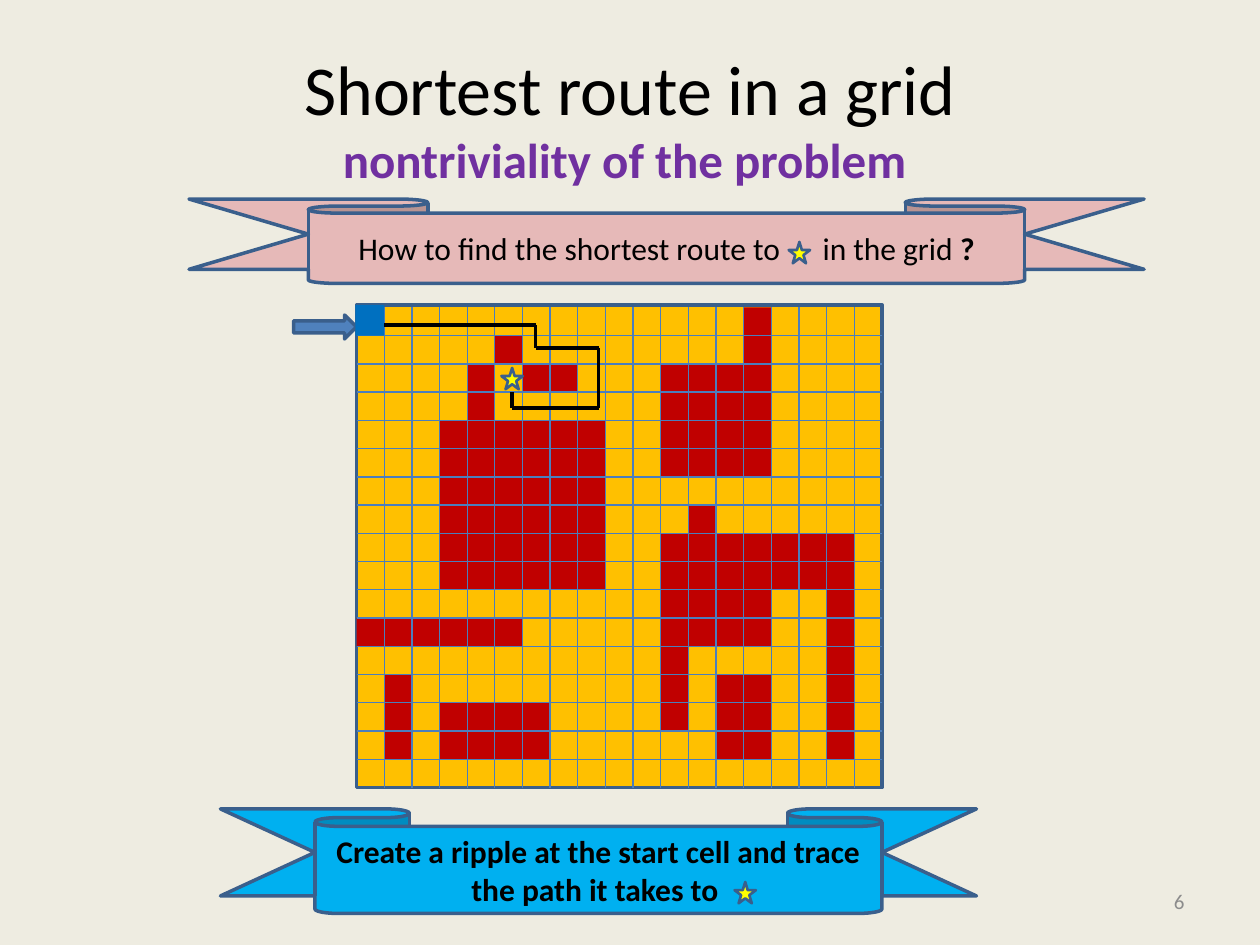
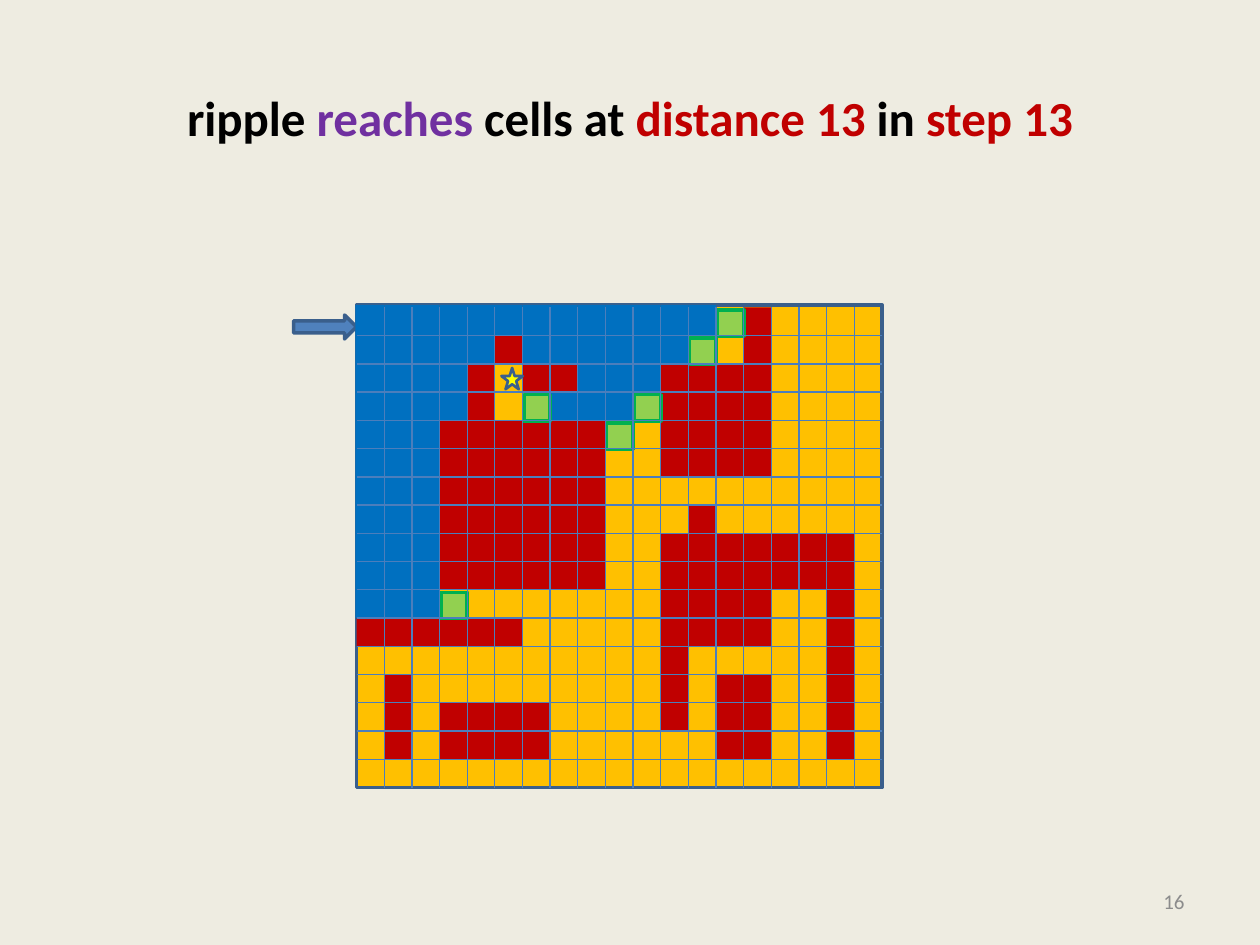
from itertools import groupby

from lxml import etree
from pptx import Presentation
from pptx.dml.color import RGBColor
from pptx.enum import shapes, text
from pptx.oxml.ns import qn
from pptx.util import Inches, Pt

SAND = RGBColor(0xEE, 0xEC, 0xE1)
GOLD = RGBColor(0xFF, 0xC0, 0x00)
RED = RGBColor(0xC0, 0x00, 0x00)
BLUE = RGBColor(0x00, 0x70, 0xC0)
SKY = RGBColor(0x00, 0xB0, 0xF0)
STEEL = RGBColor(0x4F, 0x81, 0xBD)
NAVY = RGBColor(0x3A, 0x5F, 0x8C)
MESH = RGBColor(0x4B, 0x7E, 0xBC)
LIME = RGBColor(0x92, 0xD0, 0x50)
GREEN = RGBColor(0x00, 0xB0, 0x50)
YELLOW = RGBColor(0xFF, 0xFF, 0x00)
PINK = RGBColor(0xE6, 0xB9, 0xB8)
PURPLE = RGBColor(0x70, 0x30, 0xA0)
GRAY = RGBColor(0x8C, 0x8C, 0x8C)
BLACK = RGBColor(0, 0, 0)

SHAPE = shapes.MSO_SHAPE
ALIGN = text.PP_ALIGN
FONT = "Calibri"

COLS, ROWS = 19, 17
LEFT, TOP, RIGHT, BASE = 2.83, 2.44, 7, 6.25
CELL_W, CELL_H = (RIGHT - LEFT) / COLS, (BASE - TOP) / ROWS

# Walls as column, row, columns wide, rows high
WALLS = [
    (11, 2, 4, 4), (11, 8, 4, 4), (3, 4, 6, 6), (3, 14, 4, 2), (13, 13, 2, 3),
    (6, 2, 2, 1), (0, 11, 6, 1), (1, 13, 1, 3), (11, 12, 1, 3), (4, 2, 1, 3),
    (5, 1, 1, 1), (14, 0, 1, 3), (14, 8, 4, 2), (17, 10, 1, 6), (12, 7, 1, 1),
]
ROUTE = [(3.05, 2.58), (4.25, 2.58), (4.25, 2.76), (4.75, 2.76),
         (4.75, 3.24), (4.06, 3.24), (4.06, 3.11)]


def spread(steps):
    """Return the distance from the start cell of every cell reached in steps."""
    shut = {(c + i, r + j) for c, r, w, h in WALLS for i in range(w) for j in range(h)}
    dist = {(0, 0): 0}
    front = [(0, 0)]
    for step in range(1, steps + 1):
        fresh = []
        for col, row in front:
            for cell in ((col + 1, row), (col - 1, row), (col, row + 1), (col, row - 1)):
                inside = 0 <= cell[0] < COLS and 0 <= cell[1] < ROWS
                if inside and cell not in shut and cell not in dist:
                    dist[cell] = step
                    fresh.append(cell)
        front = fresh
    return dist


def write(frame, runs, size=18, color=BLACK, bold=False, align=ALIGN.CENTER):
    """Fill a frame with (words, format) runs; "\\n" is a line break."""
    frame.word_wrap = True
    frame.vertical_anchor = text.MSO_ANCHOR.MIDDLE
    para = frame.paragraphs[0]
    para.alignment = align
    for words, form in runs:
        if words == "\n":
            para.add_line_break()
            continue
        run = para.add_run()
        run.text = words
        font = run.font
        font.name = FONT
        font.size = Pt(form.get("size", size))
        font.bold = form.get("bold", bold)
        font.color.rgb = form.get("color", color)
        if "gap" in form:
            run._r.get_or_add_rPr().set("spc", str(form["gap"] * 100))


class Deck:
    def __init__(self):
        self.show = Presentation()
        self.show.slide_width, self.show.slide_height = Inches(10), Inches(7.5)

    def page(self, number, title):
        """Start a slide with its title, board, number and entry arrow."""
        self.slide = self.show.slides.add_slide(self.show.slide_layouts[6])
        fill = self.slide.background.fill
        fill.solid()
        fill.fore_color.rgb = SAND
        self.shape(SHAPE.RECTANGLE, LEFT, 2.42, 4.17, 3.83, GOLD, NAVY)
        self.label(0.5, 0.3, 9, 1.25, title, size=28, bold=True)
        self.label(7.17, 6.95, 2.33, 0.4, [(str(number), {})],
                   size=12, color=GRAY, align=ALIGN.RIGHT)
        self.shape(SHAPE.RIGHT_ARROW, 2.33, 2.5, 0.5, 0.19, STEEL, NAVY)
        for wall in WALLS:
            self.block(*wall, RED)

    def label(self, x, y, w, h, runs, **form):
        box = self.slide.shapes.add_textbox(Inches(x), Inches(y), Inches(w), Inches(h))
        write(box.text_frame, runs, **form)

    def shape(self, kind, x, y, w, h, fill, line=None, width=2):
        item = self.slide.shapes.add_shape(kind, Inches(x), Inches(y), Inches(w), Inches(h))
        item.shadow.inherit = False
        item.fill.solid()
        item.fill.fore_color.rgb = fill
        if line is None:
            item.line.fill.background()
        else:
            item.line.color.rgb = line
            item.line.width = Pt(width)
        return item

    def line(self, start, end, color, width):
        ends = [Inches(v) for v in (*start, *end)]
        link = self.slide.shapes.add_connector(shapes.MSO_CONNECTOR.STRAIGHT, *ends)
        link.line.color.rgb = color
        link.line.width = Pt(width)
        etree.SubElement(link._element.spPr, qn("a:effectLst"))

    def block(self, col, row, wide, high, fill):
        """Cover whole cells; blue ones at the rim also hide the board's border."""
        x, y = LEFT + col * CELL_W, TOP + row * CELL_H
        w, h = wide * CELL_W, high * CELL_H
        if fill == BLUE and col == 0:
            x, w = x - 0.01, w + 0.01
        if fill == BLUE and row == 0:
            y, h = y - 0.02, h + 0.02
        self.shape(SHAPE.RECTANGLE, x, y, w, h, fill)

    def mesh(self):
        for col in range(1, COLS):
            x = LEFT + col * CELL_W
            self.line((x, TOP), (x, BASE), MESH, 0.75)
        for row in range(1, ROWS):
            y = TOP + row * CELL_H
            self.line((LEFT, y), (RIGHT, y), MESH, 0.75)

    def star(self, x=3.98, y=2.92):
        self.shape(SHAPE.STAR_5_POINT, x, y, 0.17, 0.17, YELLOW, NAVY, 1.5)

    def ribbon(self, x, y, w, h, fill, runs, **form):
        band = self.shape(SHAPE.DOWN_RIBBON, x, y, w, h, fill, NAVY)
        band.adjustments[0], band.adjustments[1] = 0.167, 0.75
        write(band.text_frame, runs, **form)

    def ripple(self, steps):
        """Flood the cells already passed and mark those reached in the last step."""
        dist = spread(steps)
        past = sorted(cell for cell, step in dist.items() if step < steps)
        runs = groupby(enumerate(past), lambda p: (p[1][0], p[1][1] - p[0]))
        for _, run in runs:
            cells = [cell for _, cell in run]
            self.block(*cells[0], 1, len(cells), BLUE)
        for (col, row), step in dist.items():
            if step == steps:
                x, y = LEFT + col * CELL_W + 0.01, TOP + row * CELL_H + 0.02
                self.shape(SHAPE.RECTANGLE, x, y, 0.21, 0.21, LIME, GREEN)


def problem(deck):
    deck.page(6, [("Shortest route in a grid", {"size": 40, "bold": False}), ("\n", {}),
                  ("nontriviality of the problem ", {"color": PURPLE})])
    deck.mesh()
    deck.block(0, 0, 1, 1, BLUE)
    deck.star()
    for start, end in zip(ROUTE, ROUTE[1:]):
        deck.line(start, end, BLACK, 2.25)
    deck.ribbon(1.75, 6.42, 6, 0.83, SKY, [
        ("Create a ripple at the start cell and trace the path it takes to ", {})], bold=True)
    deck.star(5.83, 7)
    deck.ribbon(1.5, 1.58, 7.58, 0.67, PINK, [
        ("How to find the shortest route to", {}), (" ", {"gap": 20}),
        ("in the grid", {}), (" ?", {"bold": True})])
    deck.star(6.26, 1.92)


def wave(deck, number, step):
    deck.page(number, [
        ("ripple ", {}), ("reaches ", {"color": PURPLE}), ("cells at ", {}),
        (f"distance {step} ", {"color": RED}), ("in ", {}), (f"step {step}", {"color": RED})])
    deck.ripple(step)
    deck.mesh()
    deck.star()


def main():
    deck = Deck()
    problem(deck)
    wave(deck, 16, 13)
    deck.show.save("out.pptx")


if __name__ == "__main__":
    main()
